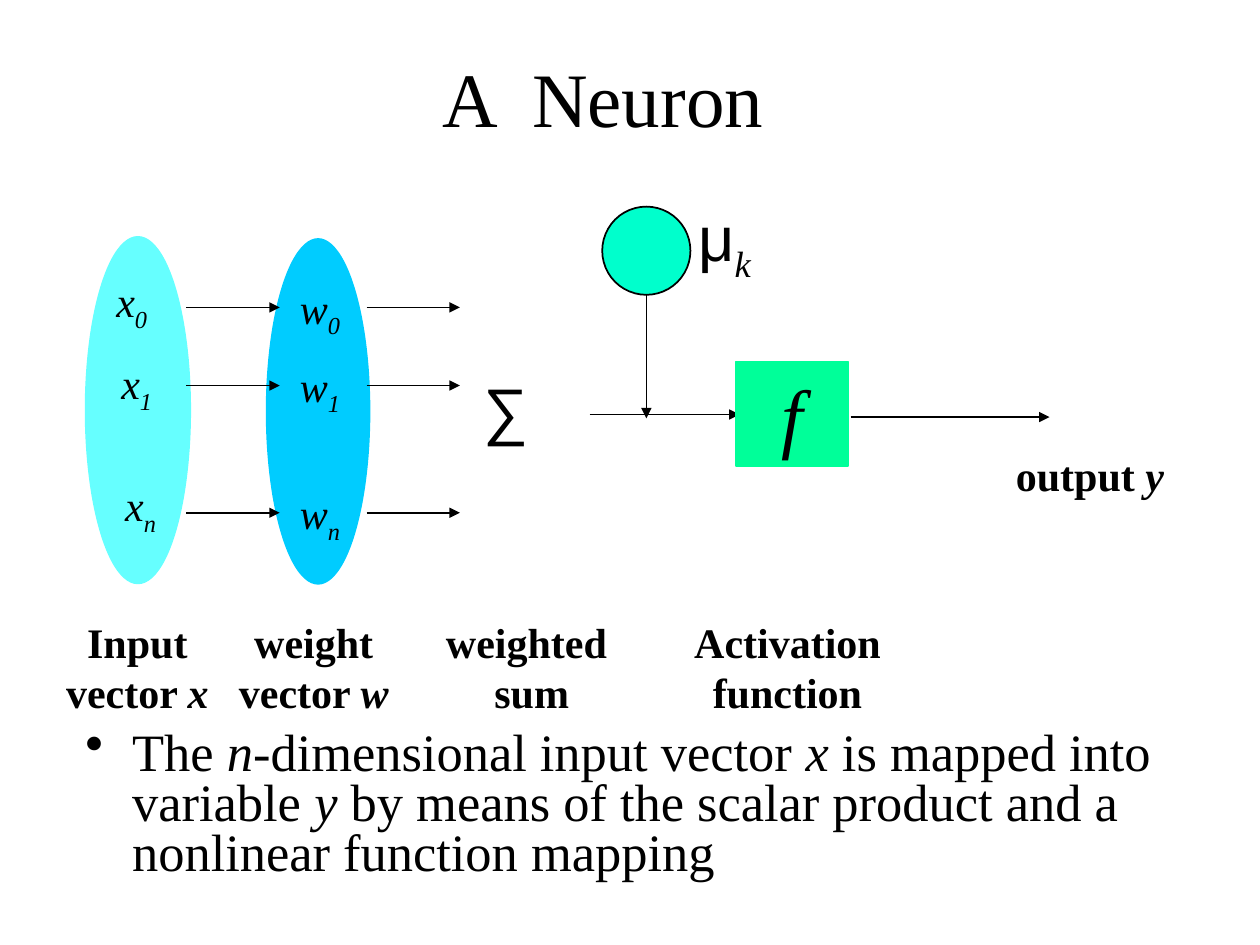
import dataclasses

import lxml.etree
import pptx
import pptx.dml.color
import pptx.enum.shapes
import pptx.enum.text
import pptx.oxml.ns
import pptx.util

Inches = pptx.util.Inches
Shapes = pptx.enum.shapes.MSO_SHAPE
Anchor = pptx.enum.text.MSO_ANCHOR
Align = pptx.enum.text.PP_ALIGN


@dataclasses.dataclass(frozen=True)
class Theme:
    """Colours, fonts and type sizes of the slide."""

    ink: str = "000000"
    inputs: str = "66FFFF"
    weights: str = "00CCFF"
    activation: str = "00FF99"
    bias: str = "00FFCC"
    serif: str = "Times New Roman"
    sans: str = "Arial"
    title: int = 44
    symbol: int = 36
    body: int = 30
    label: int = 24
    line: int = 1


@dataclasses.dataclass(frozen=True)
class Box:
    """A rectangle in inches."""

    left: float
    top: float
    width: float
    height: float

    def inner(self, left, top, width, height):
        """Return a box whose corner is measured from this one."""
        return Box(self.left + left, self.top + top, width, height)

    def lengths(self):
        """Return left, top, width and height as lengths."""
        return [Inches(value) for value in dataclasses.astuple(self)]


THEME = Theme()
PLAIN, ITALIC, SUB = "plain", "italic", "sub"


def colour(value):
    """Turn a hex string into a colour."""
    return pptx.dml.color.RGBColor.from_string(value)


def write(para, spans, size, bold=False, font=THEME.serif, align=Align.CENTER):
    """Fill a paragraph with (text, style) spans."""
    para.alignment = align
    para.font.name, para.font.size = font, pptx.util.Pt(size)
    para.font.bold = bold
    para.font.color.rgb = colour(THEME.ink)
    for text, style in spans:
        span = para.add_run()
        span.text = text
        span.font.italic = style != PLAIN
        if style == SUB:
            span.font.name = THEME.serif
            span.font._element.set("baseline", "-25000")


def add_text(page, box, lines, size, wrap=False, anchor=Anchor.TOP, **options):
    """Add a text box with one paragraph per line and return its paragraphs."""
    frame = page.shapes.add_textbox(*box.lengths()).text_frame
    frame.word_wrap, frame.vertical_anchor = wrap, anchor
    for number, spans in enumerate(lines):
        para = frame.add_paragraph() if number else frame.paragraphs[0]
        write(para, spans, size, **options)
    return frame.paragraphs


def add_figure(page, kind, box, fill, line=None):
    """Add a filled preset shape, outlined if a line colour is given."""
    shape = page.shapes.add_shape(kind, *box.lengths())
    shape.shadow.inherit = False
    shape.fill.solid()
    shape.fill.fore_color.rgb = colour(fill)
    if line:
        shape.line.color.rgb = colour(line)
        shape.line.width = pptx.util.Pt(THEME.line)
    else:
        shape.line.fill.background()
    return shape


def add_arrow(page, box):
    """Add an arrow from the top left to the bottom right of a box."""
    left, top, width, height = box.lengths()
    arrow = page.shapes.add_connector(
        pptx.enum.shapes.MSO_CONNECTOR.STRAIGHT, left, top, left + width, top + height
    )
    arrow.line.color.rgb = colour(THEME.ink)
    arrow.line.width = pptx.util.Pt(THEME.line)
    qualify = pptx.oxml.ns.qn
    tail = lxml.etree.SubElement(arrow.line._get_or_add_ln(), qualify("a:tailEnd"))
    tail.set("type", "triangle")
    lxml.etree.SubElement(arrow._element.spPr, qualify("a:effectLst"))


def add_title(page, box):
    """Place the title at the foot of its box."""
    add_text(page, box, [[("A  Neuron", PLAIN)]], THEME.title, wrap=True, anchor=Anchor.BOTTOM)


def add_vectors(page, box):
    """Place the input and weight vectors with their arrows."""
    add_figure(page, Shapes.OVAL, box.inner(1.43, 0.01, 0.83, 2.75), THEME.weights)
    add_figure(page, Shapes.OVAL, box.inner(0, 0, 0.83, 2.75), THEME.inputs, THEME.inputs)
    rows = [("0", 0.56, 0.14, 0.26), ("1", 1.18, 0.18, 0.91), ("n", 2.19, 0.21, 1.88)]
    for index, middle, left, top in rows:
        for start in (0.8, 2.23):
            add_arrow(page, box.inner(start, middle, 0.74, 0))
        places = [("x", box.inner(left, top, 0.45, 0.56)),
                  ("w", box.inner(1.6, middle - 0.25, 0.52, 0.56))]
        for name, place in places:
            add_text(page, place, [[(name, ITALIC), (index, SUB)]], THEME.label)


def add_unit(page, box):
    """Place the sum, the bias, the activation function and the output."""
    add_text(page, box.inner(0, 1.25, 0.55, 0.7), [[("∑", PLAIN)]], THEME.symbol, font=THEME.sans)
    add_arrow(page, box.inner(0.94, 1.65, 1.19, 0))
    add_figure(page, Shapes.OVAL, box.inner(1.04, 0, 0.7, 0.7), THEME.bias, THEME.ink)
    add_arrow(page, box.inner(1.39, 0.7, 0, 0.98))
    add_text(page, box.inner(1.7, -0.11, 0.62, 0.78), [[("μ", PLAIN), ("k", SUB)]],
             THEME.symbol, font=THEME.sans)
    square = add_figure(page, Shapes.RECTANGLE, box.inner(2.1, 1.23, 0.89, 0.83),
                        THEME.activation, THEME.activation)
    square.text_frame.vertical_anchor = Anchor.TOP
    write(square.text_frame.paragraphs[0], [("f", ITALIC)], THEME.title)
    add_arrow(page, box.inner(3.01, 1.67, 1.58, 0))
    add_text(page, box.inner(4.22, 1.88, 1.38, 0.5), [[("output ", PLAIN), ("y", ITALIC)]],
             THEME.label, bold=True)


def add_captions(page, box):
    """Place the two-line captions under the stages."""
    captions = [
        (0, 1.34, [("Input", PLAIN)], [("vector ", PLAIN), ("x", ITALIC)]),
        (1.37, 1.4, [("weight", PLAIN)], [("vector ", PLAIN), ("w", ITALIC)]),
        (3.02, 1.56, [("weighted ", PLAIN)], [("sum", PLAIN)]),
        (4.99, 1.68, [("Activation", PLAIN)], [("function", PLAIN)]),
    ]
    for left, width, *lines in captions:
        add_text(page, box.inner(left, 0, width, box.height), lines, THEME.label, bold=True)


def add_summary(page, box):
    """Place the bulleted explanation."""
    spans = [
        ("The ", PLAIN), ("n", ITALIC), ("-dimensional input vector ", PLAIN),
        ("x", ITALIC), (" is mapped into variable ", PLAIN), ("y", ITALIC),
        (" by means of the scalar product and a nonlinear function mapping", PLAIN),
    ]
    para = add_text(page, box, [spans], THEME.body, wrap=True, align=Align.LEFT)[0]
    para.line_spacing, para.space_before = 0.8, pptx.util.Pt(7.5)
    properties = para._p.get_or_add_pPr()
    properties.set("marL", str(Inches(0.37)))
    properties.set("indent", str(-Inches(0.37)))
    bullet = lxml.etree.Element(pptx.oxml.ns.qn("a:buChar"))
    bullet.set("char", "•")
    properties.find(pptx.oxml.ns.qn("a:defRPr")).addprevious(bullet)


def main():
    """Build and save the slide."""
    deck = pptx.Presentation()
    deck.slide_width, deck.slide_height = Inches(10), Inches(7.5)
    page = deck.slides.add_slide(deck.slide_layouts[6])
    add_title(page, Box(1.83, 0.16, 5.91, 1.02))
    add_summary(page, Box(0.58, 5.75, 8.83, 1.45))
    add_vectors(page, Box(0.68, 1.88, 2.97, 2.76))
    add_unit(page, Box(3.74, 1.64, 5.6, 2.38))
    add_captions(page, Box(0.42, 4.84, 6.67, 0.9))
    deck.save("out.pptx")


if __name__ == "__main__":
    main()
